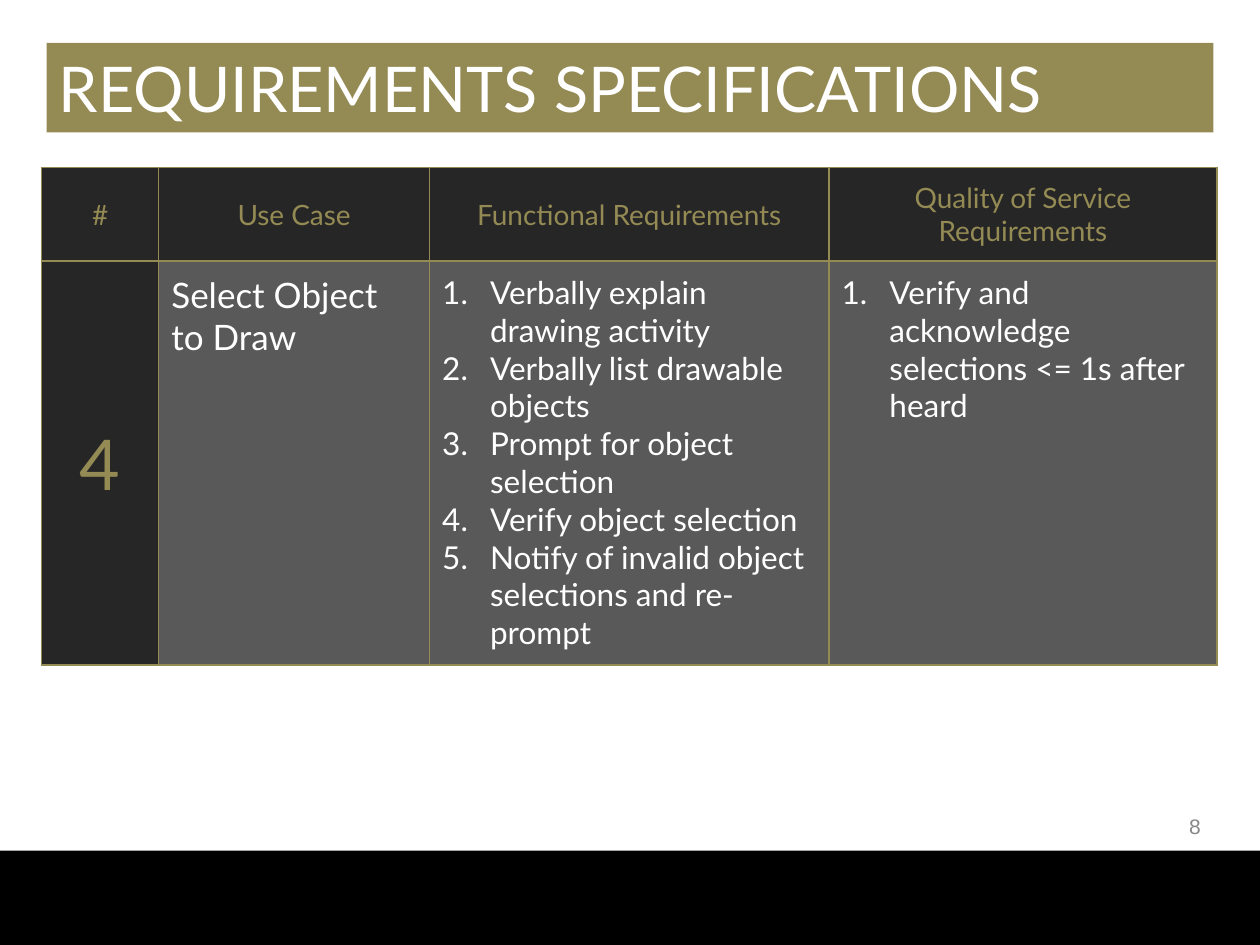
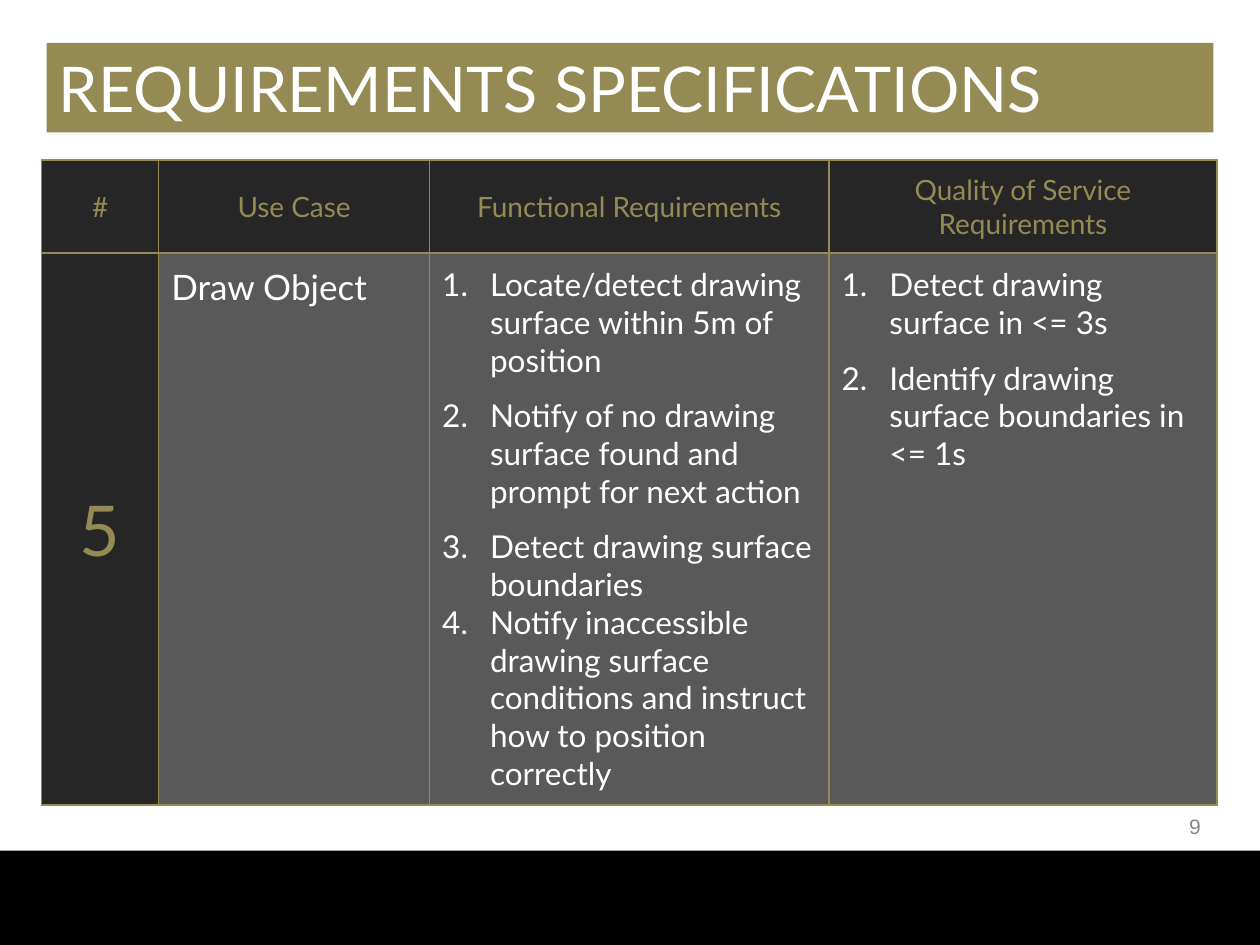
import lxml.etree
import pptx
import pptx.dml.color
import pptx.enum.shapes
import pptx.enum.text
import pptx.oxml.ns
import pptx.util

RGBColor = pptx.dml.color.RGBColor
KHAKI = RGBColor(0x94, 0x8A, 0x54)
BLACK = RGBColor(0x00, 0x00, 0x00)
WHITE = RGBColor(0xFF, 0xFF, 0xFF)
CHARCOAL = RGBColor(0x26, 0x26, 0x26)
GREY = RGBColor(0x59, 0x59, 0x59)
PALE_GREY = RGBColor(0x88, 0x88, 0x88)

LEFT, CENTER, RIGHT = (pptx.enum.text.PP_ALIGN.LEFT, pptx.enum.text.PP_ALIGN.CENTER,
                       pptx.enum.text.PP_ALIGN.RIGHT)
TOP, MIDDLE = pptx.enum.text.MSO_ANCHOR.TOP, pptx.enum.text.MSO_ANCHOR.MIDDLE

GRID_COLUMNS, GRID_ROWS = 100, 75
TITLE = "REQUIREMENTS SPECIFICATIONS"
HEADINGS = ["#", "Use Case", "Functional Requirements", "Quality of Service Requirements"]
COLUMN_WIDTHS = [9.3, 21.5, 31.7, 30.8]
HEADER_HEIGHT = 7.4

TEXT_STYLES = {
    "title": dict(size=36, color=WHITE, align=LEFT),
    "page_number": dict(size=12, color=PALE_GREY, align=RIGHT, name="Arial"),
    "heading": dict(size=16, color=KHAKI, align=CENTER),
    "case_number": dict(size=40, color=KHAKI, align=CENTER),
    "use_case": dict(size=20, color=WHITE, align=LEFT),
    "requirement": dict(size=18, color=WHITE, align=LEFT),
}

# Each requirement is paired with the points of space before it.
USE_CASES = [
    dict(page_number=8, number=4, name="Select Object\nto Draw", top=13.3, height=32.1,
         functional=[
             ("Verbally explain drawing activity", 0),
             ("Verbally list drawable objects", 0),
             ("Prompt for object selection", 0),
             ("Verify object selection", 0),
             ("Notify of invalid object selections and re-prompt", 0),
         ],
         quality=[("Verify and acknowledge selections <= 1s after heard", 0)]),
    dict(page_number=9, number=5, name="Draw Object", top=12.7, height=43.8,
         functional=[
             ("Locate/detect drawing surface within 5m of position", 0),
             ("Notify of no drawing surface found and prompt for next action", 10),
             ("Detect drawing surface boundaries", 10),
             ("Notify inaccessible drawing surface conditions and instruct "
              "how to position correctly", 0),
         ],
         quality=[
             ("Detect drawing surface in <= 3s", 0),
             ("Identify drawing surface boundaries in <= 1s", 10),
         ]),
]


def set_values(target, values):
    for name, value in values.items():
        setattr(target, name, value)


def add_xml(parent, tag, **attributes):
    return lxml.etree.SubElement(parent, pptx.oxml.ns.qn(tag), attributes)


def margins(inches):
    sides = ("margin_left", "margin_right", "margin_top", "margin_bottom")
    return dict.fromkeys(sides, pptx.util.Inches(inches))


class RequirementsDeck:
    def __init__(self):
        self.deck = pptx.Presentation()
        set_values(self.deck, {"slide_width": pptx.util.Inches(10),
                               "slide_height": pptx.util.Inches(7.5)})
        self.page = None

    def across(self, columns):
        return round(self.deck.slide_width * columns / GRID_COLUMNS)

    def down(self, rows):
        return round(self.deck.slide_height * rows / GRID_ROWS)

    def place(self, left, top, width, height):
        return self.across(left), self.down(top), self.across(width), self.down(height)

    def add_page(self, page_number):
        """Start a slide with the title, the footer band and its page number."""
        self.page = self.deck.slides.add_slide(self.deck.slide_layouts[6])
        self.add_band((0, 67.5, 100, 7.5), BLACK)
        title = self.add_band((3.7, 3.4, 92.6, 7.1), KHAKI)
        title.text_frame.vertical_anchor = MIDDLE
        self.fill_text(title.text_frame.paragraphs[0], TITLE, "title")
        box = self.page.shapes.add_textbox(*self.place(92.8, 64.1, 3, 2.9))
        set_values(box.text_frame, {"word_wrap": False, "vertical_anchor": MIDDLE,
                                    **margins(0.05)})
        self.fill_text(box.text_frame.paragraphs[0], str(page_number), "page_number")

    def add_band(self, area, color):
        band = self.page.shapes.add_shape(
            pptx.enum.shapes.MSO_SHAPE.RECTANGLE, *self.place(*area))
        band.shadow.inherit = False
        band.fill.solid()
        band.fill.fore_color.rgb = color
        band.line.fill.background()
        return band

    def fill_text(self, paragraph, text, style_name):
        style = TEXT_STYLES[style_name]
        paragraph.text = text
        paragraph.alignment = style["align"]
        for span in paragraph.runs:
            set_values(span.font, {"name": style.get("name", "Lato"),
                                   "size": pptx.util.Pt(style["size"]), "bold": False})
            span.font.color.rgb = style["color"]

    def fill_numbered(self, frame, requirements):
        for index, (text, space) in enumerate(requirements):
            paragraph = frame.add_paragraph() if index else frame.paragraphs[0]
            paragraph.space_before = pptx.util.Pt(space)
            indent = pptx.util.Inches(0.38)
            properties = paragraph._p.get_or_add_pPr()
            properties.set("marL", str(indent))
            properties.set("indent", str(-indent))
            add_xml(properties, "a:buFont", typeface="Lato")
            add_xml(properties, "a:buAutoNum", type="arabicPeriod")
            self.fill_text(paragraph, text, "requirement")

    def format_cell(self, cell, color, anchor):
        set_values(cell, {"vertical_anchor": anchor, **margins(0.1)})
        properties = cell._tc.get_or_add_tcPr()
        for side in ("a:lnL", "a:lnR", "a:lnT", "a:lnB"):
            border = add_xml(properties, side, w=str(pptx.util.Pt(1)))
            add_xml(add_xml(border, "a:solidFill"), "a:srgbClr", val=str(KHAKI))
        cell.fill.solid()
        cell.fill.fore_color.rgb = color

    def add_requirements_table(self, case):
        area = self.place(3.3, case["top"], sum(COLUMN_WIDTHS), HEADER_HEIGHT + case["height"])
        table = self.page.shapes.add_table(2, len(HEADINGS), *area).table
        set_values(table, {"first_row": False, "horz_banding": False})
        for column, width in zip(table.columns, COLUMN_WIDTHS):
            column.width = self.across(width)
        for row, height in zip(table.rows, (HEADER_HEIGHT, case["height"])):
            row.height = self.down(height)

        for index, heading in enumerate(HEADINGS):
            header, body = table.cell(0, index), table.cell(1, index)
            self.format_cell(header, CHARCOAL, MIDDLE)
            self.fill_text(header.text_frame.paragraphs[0], heading, "heading")
            self.format_cell(body, GREY if index else CHARCOAL, TOP if index else MIDDLE)

        number, name, functional, quality = (cell.text_frame for cell in table.rows[1].cells)
        self.fill_text(number.paragraphs[0], str(case["number"]), "case_number")
        self.fill_text(name.paragraphs[0], case["name"], "use_case")
        self.fill_numbered(functional, case["functional"])
        self.fill_numbered(quality, case["quality"])


def main():
    requirements = RequirementsDeck()
    for case in USE_CASES:
        requirements.add_page(case["page_number"])
        requirements.add_requirements_table(case)
    requirements.deck.save("out.pptx")


if __name__ == "__main__":
    main()
